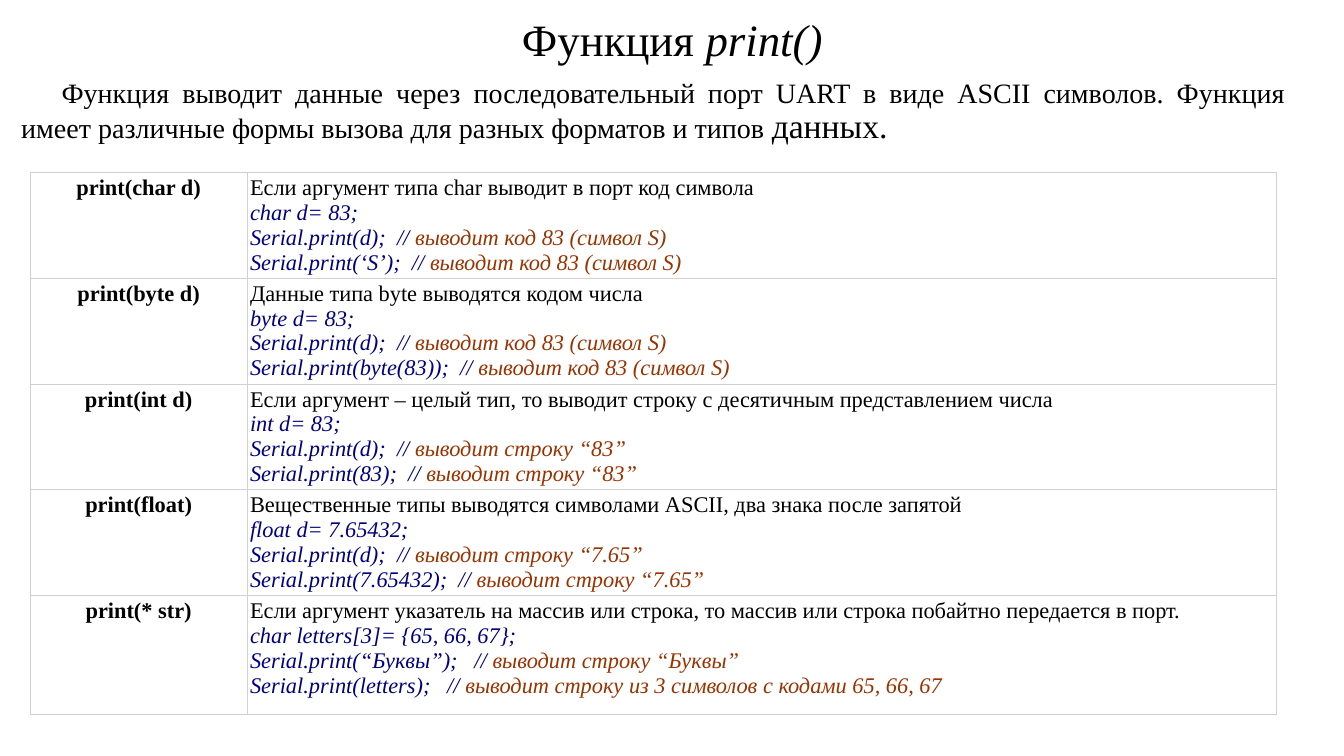
"""Build a slide explaining the forms of the print() function."""
import pptx
import pptx.dml.color
import pptx.enum.text
import pptx.oxml
import pptx.oxml.ns
import pptx.util

FONT = "Times New Roman"
BLACK, NAVY, BROWN, WHITE, GRAY = "000000", "000080", "993300", "FFFFFF", "D0D0D0"
FORMS = [
    ("print(char d)", "Если аргумент типа char выводит в порт код символа", "char d= 83;",
     [("Serial.print(d);  // ", "выводит код 83 (символ S)"),
      ("Serial.print(‘S’);  // ", "выводит код 83 (символ S)")]),
    ("print(byte d)", "Данные типа byte выводятся кодом числа", "byte d= 83;",
     [("Serial.print(d);  // ", "выводит код 83 (символ S)"),
      ("Serial.print(byte(83));  // ", "выводит код 83 (символ S)")]),
    ("print(int d)",
     "Если аргумент – целый тип, то выводит строку с десятичным представлением числа",
     "int d= 83;",
     [("Serial.print(d);  // ", "выводит строку “83”"),
      ("Serial.print(83);  // ", "выводит строку “83”")]),
    ("print(float)", "Вещественные типы выводятся символами ASCII, два знака после запятой",
     "float d= 7.65432;",
     [("Serial.print(d);  // ", "выводит строку “7.65”"),
      ("Serial.print(7.65432);  // ", "выводит строку “7.65”")]),
    ("print(* str)",
     "Если аргумент указатель на массив или строка, то массив или строка побайтно передается в порт.",
     "char letters[3]= {65, 66, 67};",
     [("Serial.print(“Буквы”);   // ", "выводит строку “Буквы”"),
      ("Serial.print(letters);   // ", "выводит строку из 3 символов с кодами 65, 66, 67")]),
]


def colour(hex_string):
    return pptx.dml.color.RGBColor.from_string(hex_string)


def write_run(paragraph, text, size, hex_string=BLACK, bold=False, italic=False):
    run = paragraph.add_run()
    run.text = text
    run.font.name = FONT
    run.font.size = pptx.util.Pt(size)
    run.font.bold = bold
    run.font.italic = italic
    run.font.color.rgb = colour(hex_string)


presentation = pptx.Presentation()
presentation.slide_width = pptx.util.Inches(13.33)
presentation.slide_height = pptx.util.Inches(7.5)
percent_x = presentation.slide_width / 100
percent_y = presentation.slide_height / 100
slide = presentation.slides.add_slide(presentation.slide_layouts[1])
title, body = slide.placeholders[0], slide.placeholders[1]

for shape, left, top, width, height, anchor, alignment in [
    (title, 6.9, 1.2, 86.25, 8.67, "MIDDLE", "CENTER"),
    (body, 0.83, 9.87, 95.57, 82.93, "TOP", "JUSTIFY"),
]:
    shape.left, shape.width = int(left * percent_x), int(width * percent_x)
    shape.top, shape.height = int(top * percent_y), int(height * percent_y)
    text_frame = shape.text_frame
    text_frame.auto_size = pptx.enum.text.MSO_AUTO_SIZE.NONE
    text_frame.vertical_anchor = pptx.enum.text.MSO_ANCHOR[anchor]
    text_frame.paragraphs[0].alignment = pptx.enum.text.PP_ALIGN[alignment]
    text_frame.paragraphs[0].line_spacing = 0.9

heading = title.text_frame.paragraphs[0]
write_run(heading, "Функция ", 32)
write_run(heading, "print()", 32, italic=True)

summary = body.text_frame.paragraphs[0]
summary.space_before = pptx.util.Pt(10)
write_run(summary, "Функция выводит данные через последовательный порт UART в виде ASCII символов. "
          "Функция имеет различные формы вызова для разных форматов и типов ", 20)
write_run(summary, "данных.", 24)
properties = summary._p.get_or_add_pPr()
properties.set("marL", "0")
properties.set("indent", str(pptx.util.Inches(0.4)))
properties.append(pptx.oxml.parse_xml(f"<a:buNone {pptx.oxml.ns.nsdecls('a')}/>"))

column_shares = [16.13, 76.6]
row_shares = [14] * 4 + [15.7]
table = slide.shapes.add_table(
    len(row_shares), len(column_shares), int(2.25 * percent_x), int(22.8 * percent_y),
    int(sum(column_shares) * percent_x), int(sum(row_shares) * percent_y)).table
table.first_row = False
table.horz_banding = False
for column, share in zip(table.columns, column_shares):
    column.width = int(share * percent_x)
for row, share in zip(table.rows, row_shares):
    row.height = int(share * percent_y)

for cell in table.iter_cells():
    cell.margin_left = cell.margin_right = pptx.util.Inches(0.03)
    cell.margin_top = cell.margin_bottom = pptx.util.Inches(0.03)
    for side in "LRTB":
        cell._tc.get_or_add_tcPr().append(pptx.oxml.parse_xml(
            f'<a:ln{side} {pptx.oxml.ns.nsdecls("a")} w="{pptx.util.Pt(0.75)}">'
            f'<a:solidFill><a:srgbClr val="{GRAY}"/></a:solidFill></a:ln{side}>'))
    cell.fill.solid()
    cell.fill.fore_color.rgb = colour(WHITE)

for row, (signature, description, declaration, calls) in zip(table.rows, FORMS):
    name_cell, example_cell = row.cells
    name = name_cell.text_frame.paragraphs[0]
    name.alignment = pptx.enum.text.PP_ALIGN.CENTER
    write_run(name, signature, 16, bold=True)
    write_run(example_cell.text_frame.paragraphs[0], description, 16)
    example = example_cell.text_frame.add_paragraph()
    write_run(example, declaration, 16, NAVY, italic=True)
    for call, comment in calls:
        example.add_line_break()
        write_run(example, call, 16, NAVY, italic=True)
        write_run(example, comment, 16, BROWN, italic=True)

presentation.save("out.pptx")
